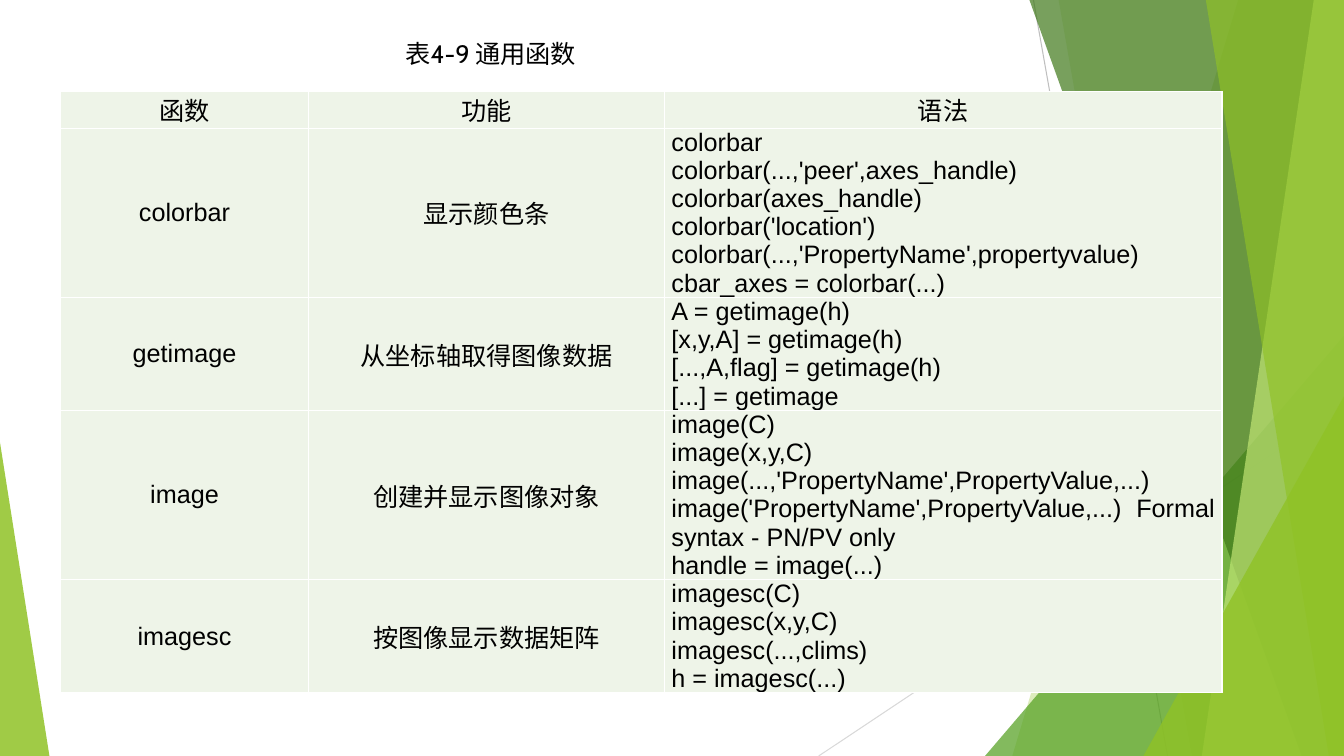
from dataclasses import dataclass

from lxml import etree
from pptx import Presentation
from pptx.dml.color import RGBColor
from pptx.enum.shapes import MSO_CONNECTOR, MSO_SHAPE
from pptx.enum.text import MSO_ANCHOR, PP_ALIGN
from pptx.oxml import parse_xml
from pptx.oxml.ns import nsdecls, qn
from pptx.util import Inches, Pt

LEFT, CENTER, JUSTIFY = PP_ALIGN.LEFT, PP_ALIGN.CENTER, PP_ALIGN.JUSTIFY
TOP, MIDDLE = MSO_ANCHOR.TOP, MSO_ANCHOR.MIDDLE
TRIANGLE = MSO_SHAPE.ISOSCELES_TRIANGLE
STRAIGHT = MSO_CONNECTOR.STRAIGHT


@dataclass(frozen=True)
class Theme:
    text: str = "000000"
    cell: str = "EEF4E8"
    border: str = "FFFFFF"
    lime: str = "90C226"
    green: str = "54A021"
    forest: str = "3F7819"
    pale: str = "C0E474"
    body_font: str = "Arial"
    caption_font: str = "Cabin"
    text_size: float = 18
    border_width: float = 1
    line_width: float = 0.75


THEME = Theme()
SLIDE_WIDTH, SLIDE_HEIGHT = 13.33, 7.5

CAPTION = "表4-9 通用函数"
HEADER = ("函数", "功能", "语法")
FUNCTIONS = [
    ("colorbar", "显示颜色条", [
        "colorbar",
        "colorbar(...,'peer',axes_handle)",
        "colorbar(axes_handle)",
        "colorbar('location')",
        "colorbar(...,'PropertyName',propertyvalue)",
        "cbar_axes = colorbar(...)",
    ]),
    ("getimage", "从坐标轴取得图像数据", [
        "A = getimage(h)",
        "[x,y,A] = getimage(h)",
        "[...,A,flag] = getimage(h)",
        "[...] = getimage",
    ]),
    ("image", "创建并显示图像对象", [
        "image(C)",
        "image(x,y,C)",
        "image(...,'PropertyName',PropertyValue,...)",
        "image('PropertyName',PropertyValue,...) Formal syntax - PN/PV only",
        "handle = image(...)",
    ]),
    ("imagesc", "按图像显示数据矩阵", [
        "imagesc(C)",
        "imagesc(x,y,C)",
        "imagesc(...,clims)",
        "h = imagesc(...)",
    ]),
]
COLUMN_WIDTHS = (2.46, 3.53, 5.53)
ROW_HEIGHTS = (0.36, 1.68, 1.12, 1.68, 1.12)
TABLE_LEFT, TABLE_TOP = 0.6, 0.91

THIN_LINES = [
    ((10.25, 0), (11.58, 7.5), "BFBFBF"),
    ((13.33, 4.03), (8.12, 7.5), "D9D9D9"),
]
FACETS = [
    ("strip", (12.28, 10.04), THEME.lime, 30),
    ("strip", (10.5, 11.82), THEME.lime, 20),
    ("triangle", (9.77, 3.33, 3.56, 4.17, 1), THEME.green, 72),
    ("strip", (10.21, 12.91), THEME.forest, 70),
    ("strip", (13.03, 11.92), THEME.pale, 70),
    ("strip", (11.96, 13.18), THEME.lime, 65),
    ("triangle", (11.34, 3.93, 1.99, 3.57, 1), THEME.lime, 80),
    ("triangle", (0, 4.39, 0.49, 3.11, 0), THEME.lime, 85),
]


def write_text(text_frame, lines, font=THEME.body_font, size=THEME.text_size,
               color=THEME.text, align=LEFT):
    for index, line in enumerate(lines):
        paragraph = text_frame.paragraphs[0] if index == 0 else text_frame.add_paragraph()
        paragraph.alignment = align
        run = paragraph.add_run()
        run.text = line
        run.font.name = font
        run.font.size = Pt(size)
        run.font.bold = False
        run.font.color.rgb = RGBColor.from_string(color)


def add_thin_line(slide, start, end, color):
    connector = slide.shapes.add_connector(
        STRAIGHT, *(Inches(value) for value in (*start, *end)))
    connector.line.color.rgb = RGBColor.from_string(color)
    connector.line.width = Pt(THEME.line_width)
    etree.SubElement(connector._element.spPr, qn("a:effectLst"))


def add_facet(slide, kind, geometry, color, opacity):
    if kind == "strip":
        top_x, bottom_x = geometry
        corners = [(top_x, 0), (SLIDE_WIDTH, 0), (SLIDE_WIDTH, SLIDE_HEIGHT),
                   (bottom_x, SLIDE_HEIGHT)]
        points = [(Inches(x), Inches(y)) for x, y in corners]
        builder = slide.shapes.build_freeform(*points[0])
        builder.add_line_segments(points[1:], close=True)
        shape = builder.convert_to_shape()
    else:
        *box, apex = geometry
        shape = slide.shapes.add_shape(TRIANGLE, *(Inches(value) for value in box))
        shape.adjustments[0] = apex
    shape.shadow.inherit = False
    shape.line.fill.background()
    shape.fill.solid()
    shape.fill.fore_color.rgb = RGBColor.from_string(color)
    color_element = shape._element.spPr.find(qn("a:solidFill"))[0]
    etree.SubElement(color_element, qn("a:alpha"), val=str(opacity * 1000))


def format_cell(cell, lines, align, anchor):
    cell.margin_left = cell.margin_right = Inches(0.07)
    cell.margin_top = cell.margin_bottom = 0
    cell.vertical_anchor = anchor
    cell.fill.solid()
    cell.fill.fore_color.rgb = RGBColor.from_string(THEME.cell)
    properties = cell._tc.get_or_add_tcPr()
    for index, side in enumerate("LRTB"):
        properties.insert(index, parse_xml(
            f'<a:ln{side} {nsdecls("a")} w="{Pt(THEME.border_width)}"><a:solidFill>'
            f'<a:srgbClr val="{THEME.border}"/></a:solidFill></a:ln{side}>'))
    write_text(cell.text_frame, lines, align=align)


def add_function_table(slide):
    frame = slide.shapes.add_table(
        len(ROW_HEIGHTS), len(COLUMN_WIDTHS), Inches(TABLE_LEFT), Inches(TABLE_TOP),
        Inches(sum(COLUMN_WIDTHS)), Inches(sum(ROW_HEIGHTS)))
    table = frame.table
    table.first_row = table.horz_banding = False
    for column, width in zip(table.columns, COLUMN_WIDTHS):
        column.width = Inches(width)
    for row, height in zip(table.rows, ROW_HEIGHTS):
        row.height = Inches(height)
    for row, values in zip(table.rows, [HEADER, *FUNCTIONS]):
        for cell, value in zip(row.cells, values):
            if isinstance(value, list):
                format_cell(cell, value, JUSTIFY, TOP)
            else:
                format_cell(cell, [value], CENTER, MIDDLE)


def add_caption(slide):
    title = slide.shapes.title
    title.left, title.top = Inches(3.92), Inches(0.33)
    title.width, title.height = Inches(3.19), Inches(0.4)
    title.text_frame.word_wrap = True
    title.text_frame.vertical_anchor = TOP
    write_text(title.text_frame, [CAPTION], font=THEME.caption_font)


def main():
    presentation = Presentation()
    presentation.slide_width = Inches(SLIDE_WIDTH)
    presentation.slide_height = Inches(SLIDE_HEIGHT)
    slide = presentation.slides.add_slide(presentation.slide_layouts[5])
    for thin_line in THIN_LINES:
        add_thin_line(slide, *thin_line)
    for facet in FACETS:
        add_facet(slide, *facet)
    add_function_table(slide)
    add_caption(slide)
    presentation.save("out.pptx")


if __name__ == "__main__":
    main()
